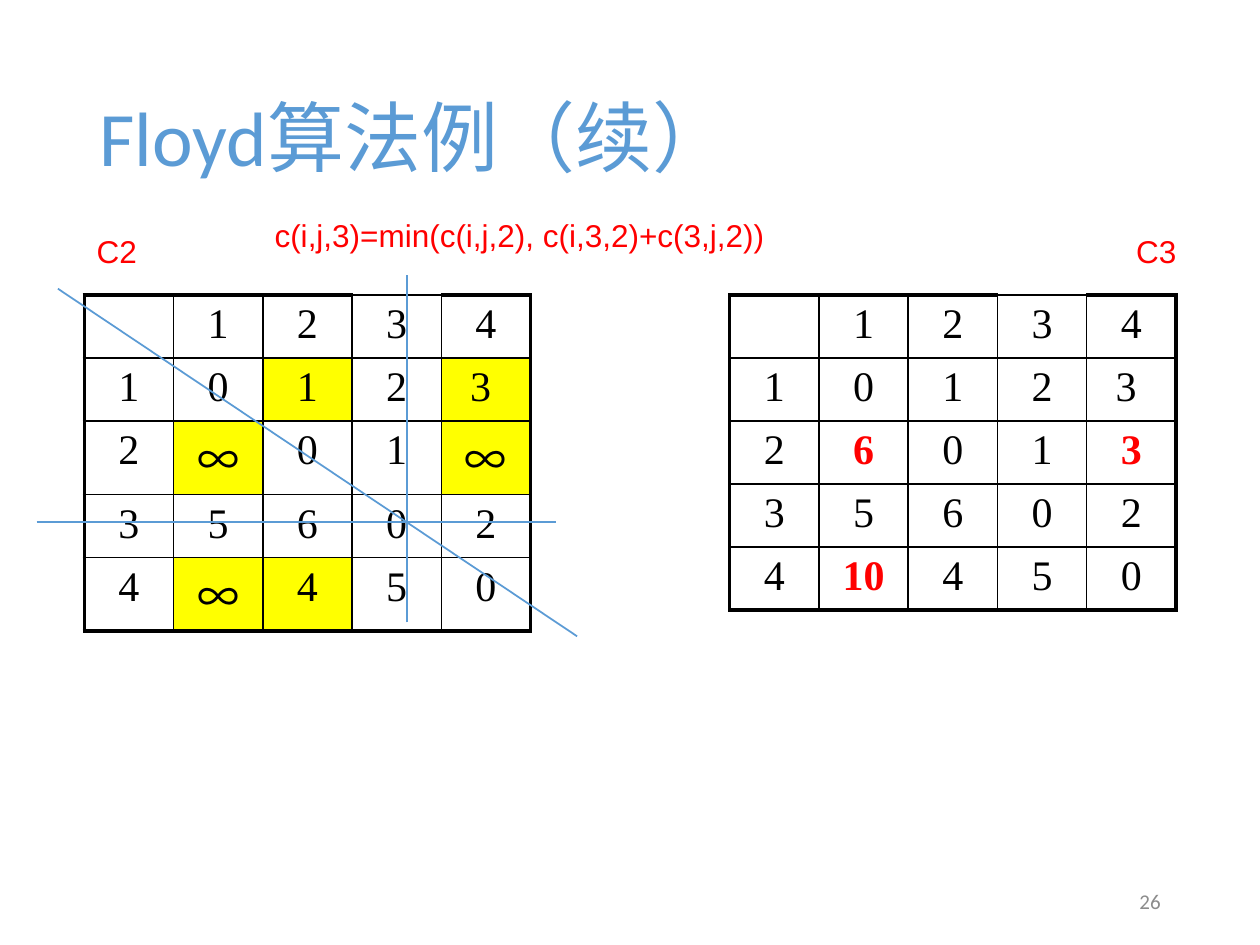
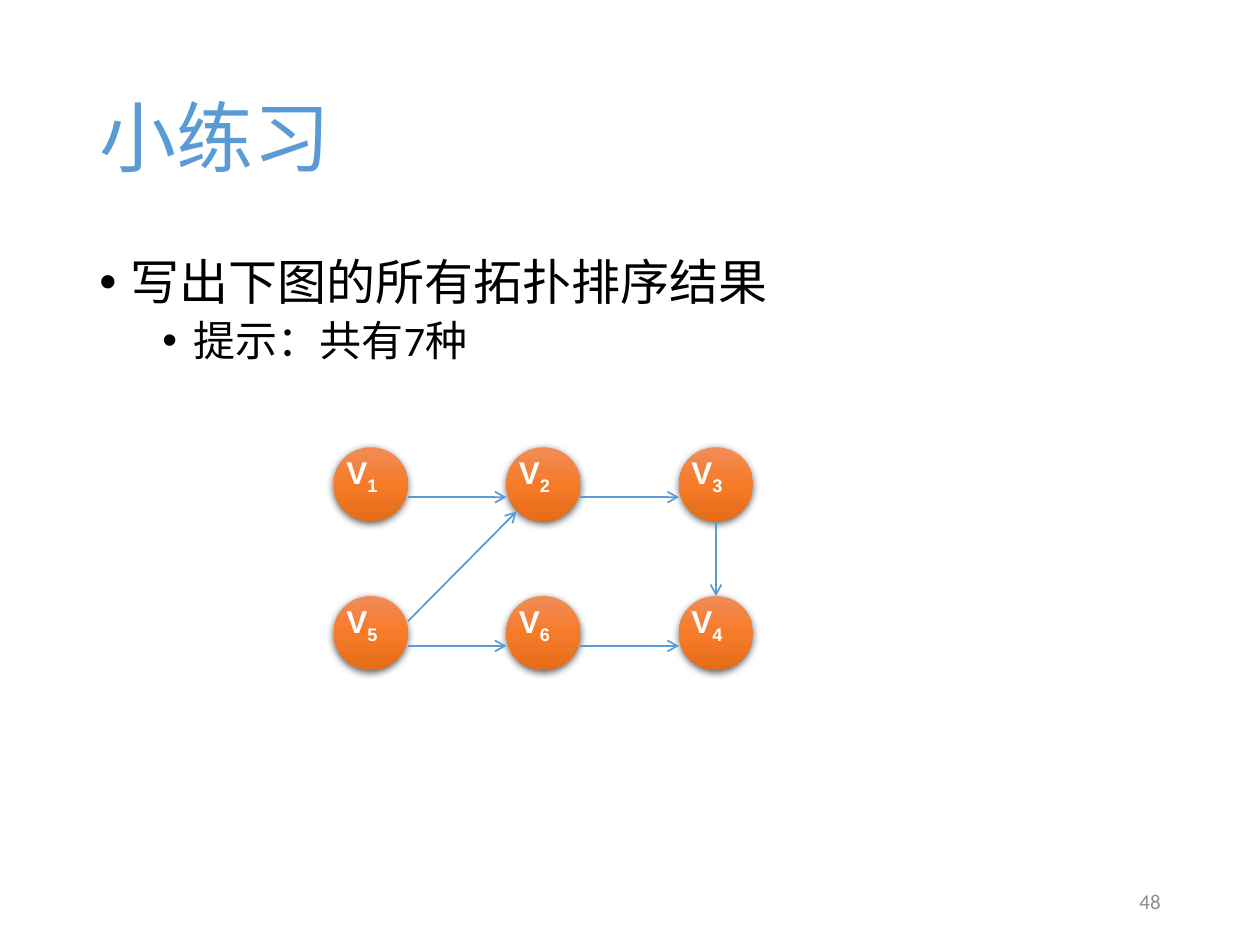
from lxml.etree import SubElement
from pptx import Presentation
from pptx.dml.color import RGBColor
from pptx.enum.shapes import MSO_CONNECTOR, MSO_SHAPE
from pptx.enum.text import MSO_ANCHOR, PP_ALIGN
from pptx.oxml.ns import qn
from pptx.util import Pt

BLUE, RED, BLACK, WHITE = "5B9BD5", "FF0000", "000000", "FFFFFF"
GRAY, YELLOW = "8C8C8C", "FFFF00"
CJK, SANS, SERIF, HEAD = "Noto Sans CJK SC", "Arial", "Times New Roman", "Calibri"
BALL_STOPS = [(0, "F18C57"), (50, "F67B28"), (100, "E56C19")]
THIN, THICK = 1, 2.25
CELL_W = 51

DISTANCES_C2 = [
    ["", "1", "2", "3", "4"],
    ["1", "0", "1", "2", "3 "],
    ["2", "∞", "0", "1", "∞"],
    ["3", "5", "6", "0", "2"],
    ["4", "∞", "4", "5", "0"],
]
DISTANCES_C3 = [
    ["", "1", "2", "3", "4"],
    ["1", "0", "1", "2", "3 "],
    ["2", "6", "0", "1", "3"],
    ["3", "5", "6", "0", "2"],
    ["4", "10", "4", "5", "0"],
]
C2_CANDIDATES = {(1, 2), (1, 4), (2, 1), (2, 4), (4, 1), (4, 2)}
C3_UPDATES = {(2, 1), (2, 4), (4, 1)}

NODE, NODE_X, NODE_Y, STEP_X, STEP_Y = 42.3, 190.8, 255.6, 98.6, 85
NODE_GRID = [["1", "2", "3"], ["5", "6", "4"]]


def rgb(color):
    return RGBColor.from_string(color)


def style(p, size, font, color, bold=False):
    for r in p.runs:
        r.font.size, r.font.name, r.font.bold = Pt(size), font, bold
        r.font.color.rgb = rgb(color)
        SubElement(r.font._element, qn("a:ea"), typeface=CJK)


def add_text(shapes, x, y, w, h, text):
    tf = shapes.add_textbox(Pt(x), Pt(y), Pt(w), Pt(h)).text_frame
    tf.word_wrap = True
    tf.text = text
    return tf


def add_slide(prs, title, number):
    s = prs.slides.add_slide(prs.slide_layouts[5])
    sp = s.shapes.title
    sp.left, sp.top, sp.width, sp.height = Pt(49.7), Pt(28.8), Pt(620.6), Pt(104.4)
    tf = sp.text_frame
    tf.text = title
    tf.vertical_anchor = MSO_ANCHOR.MIDDLE
    p = tf.paragraphs[0]
    p.alignment, p.line_spacing = PP_ALIGN.LEFT, 0.9
    style(p, 44, HEAD, BLUE)
    tf = add_text(s.shapes, 508.3, 500.4, 162, 28.8, number)
    tf.vertical_anchor = MSO_ANCHOR.MIDDLE
    tf.paragraphs[0].alignment = PP_ALIGN.RIGHT
    style(tf.paragraphs[0], 12, HEAD, GRAY)
    return s


def add_label(s, x, y, w, text):
    tf = add_text(s.shapes, x, y, w, 28.8, text)
    style(tf.paragraphs[0], 18, SANS, RED)


def add_line(s, x1, y1, x2, y2, arrow=False):
    c = s.shapes.add_connector(MSO_CONNECTOR.STRAIGHT, Pt(x1), Pt(y1), Pt(x2), Pt(y2))
    c.line.color.rgb = rgb(BLUE)
    c.line.width = Pt(1)
    if arrow:
        SubElement(c.line._get_or_add_ln(), qn("a:tailEnd"), type="arrow")
    SubElement(c._element.spPr, qn("a:effectLst"))


def set_borders(cell, widths):
    tcPr = cell._tc.get_or_add_tcPr()
    for side, width in zip("LRTB", widths):
        ln = SubElement(tcPr, qn("a:ln" + side), w=str(Pt(width)))
        fill = SubElement(ln, qn("a:solidFill"))
        SubElement(fill, qn("a:srgbClr"), val=BLACK)


def add_matrix(s, x, y, values, heights, highlighted=(), updated=()):
    n = len(values)
    table = s.shapes.add_table(n, n, Pt(x), Pt(y), Pt(CELL_W * n), Pt(sum(heights))).table
    table.first_row = table.horz_banding = False
    for i, row in enumerate(values):
        table.rows[i].height = Pt(heights[i])
        table.columns[i].width = Pt(CELL_W)
        for j, value in enumerate(row):
            cell = table.cell(i, j)
            outer = (j == 0, j == n - 1, i == 0 and j != 3, i == n - 1)
            set_borders(cell, [THICK if edge else THIN for edge in outer])
            if (i, j) in highlighted:
                cell.fill.solid()
                cell.fill.fore_color.rgb = rgb(YELLOW)
            else:
                cell.fill.background()
            cell.text = value
            p = cell.text_frame.paragraphs[0]
            p.alignment = PP_ALIGN.CENTER
            changed = (i, j) in updated
            style(p, 24, CJK if value == "∞" else SERIF, RED if changed else BLACK, changed)


def add_bullet(p, level, size, indent, before):
    p.level, p.line_spacing, p.space_before = level, 0.9, Pt(before)
    pPr = p._p.get_or_add_pPr()
    pPr.set("marL", str(Pt(indent)))
    pPr.set("indent", str(Pt(-18)))
    SubElement(pPr, qn("a:buFont"), typeface=SANS)
    SubElement(pPr, qn("a:buChar"), char="•")
    style(p, size, HEAD, BLACK)


def add_node(s, x, y, index):
    group = s.shapes.add_group_shape()
    sp = group.shapes.add_shape(MSO_SHAPE.FLOWCHART_CONNECTOR, Pt(x), Pt(y), Pt(NODE), Pt(NODE))
    sp.line.fill.background()
    sp.fill.gradient()
    sp.fill.gradient_angle = 270
    stops = sp._element.spPr.find(".//" + qn("a:gsLst"))
    stops.clear()
    for pos, color in BALL_STOPS:
        gs = SubElement(stops, qn("a:gs"), pos=str(pos * 1000))
        SubElement(gs, qn("a:srgbClr"), val=color)
    sp.shadow.inherit = False
    effects = sp._element.spPr.find(qn("a:effectLst"))
    shadow = SubElement(effects, qn("a:outerShdw"), blurRad=str(Pt(4.5)), dist=str(Pt(1.5)),
                        dir="5400000", rotWithShape="0")
    black = SubElement(shadow, qn("a:srgbClr"), val=BLACK)
    SubElement(black, qn("a:alpha"), val="63000")

    p = add_text(group.shapes, x, y, NODE, 28.8, "V").paragraphs[0]
    r = p.add_run()
    r.text = index
    style(p, 18, SANS, WHITE, True)
    r.font._element.set("baseline", "-25000")


def build_floyd(prs):
    s = add_slide(prs, "Floyd算法例（续）", "26")
    heights = [42 if "∞" in row else 33.8 for row in DISTANCES_C2]
    add_matrix(s, 48.2, 168.5, DISTANCES_C2, heights, highlighted=C2_CANDIDATES)
    add_matrix(s, 417, 168.5, DISTANCES_C3, [36] * 5, updated=C3_UPDATES)
    add_label(s, 48.2, 128.9, 54, "C2")
    add_label(s, 149.8, 120.2, 545.8, "c(i,j,3)=min(c(i,j,2), c(i,3,2)+c(3,j,2))")
    add_label(s, 642.2, 128.9, 54, "C3")
    add_line(s, 33.1, 165, 329.8, 363.6)
    add_line(s, 20.9, 298.1, 317.7, 298.1)
    add_line(s, 232.6, 355.7, 232.6, 157)


def build_exercise(prs):
    s = add_slide(prs, "小练习", "48")
    tf = add_text(s.shapes, 49.7, 144, 620.6, 342.7, "写出下图的所有拓扑排序结果")
    add_bullet(tf.paragraphs[0], 0, 28, 18, 10)
    p = tf.add_paragraph()
    p.text = "提示：共有7种"
    add_bullet(p, 1, 24, 54, 5)
    for row, names in enumerate(NODE_GRID):
        y = NODE_Y + row * STEP_Y
        for col, name in enumerate(names):
            x = NODE_X + col * STEP_X
            add_node(s, x, y, name)
            if col:
                add_line(s, x - STEP_X + NODE, y + 28.5, x, y + 28.5, arrow=True)
    add_line(s, 233.1, 355, 295.2, 292.3, arrow=True)
    v3_center = NODE_X + 2 * STEP_X + NODE / 2
    add_line(s, v3_center, NODE_Y + NODE, v3_center, NODE_Y + STEP_Y, arrow=True)


def main():
    prs = Presentation()
    prs.slide_width, prs.slide_height = Pt(720), Pt(540)
    build_floyd(prs)
    build_exercise(prs)
    prs.save("out.pptx")


if __name__ == "__main__":
    main()
